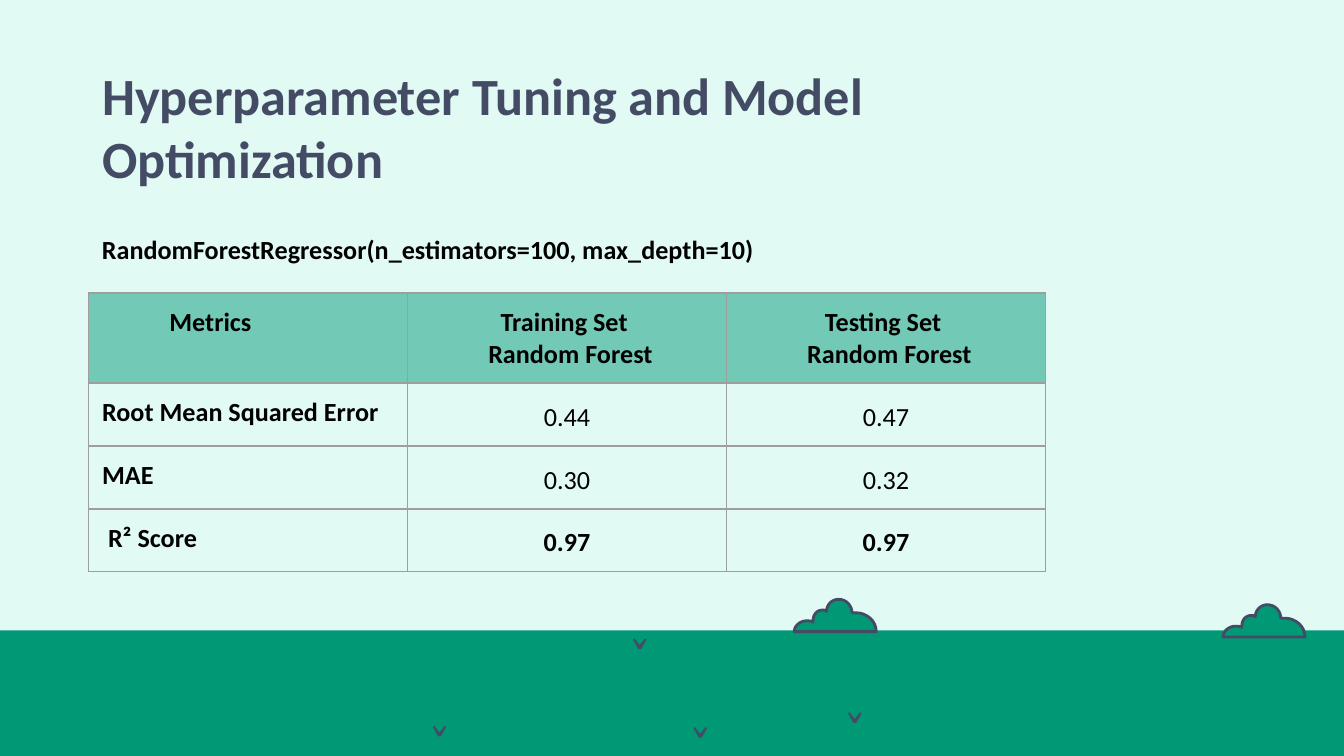
from dataclasses import dataclass

import pptx
import pptx.dml.color
import pptx.enum.shapes
import pptx.enum.text
import pptx.oxml
import pptx.oxml.ns
import pptx.util
from pptx.util import Inches

COLORS = {"sky": "E1FAF4", "grass": "009875", "ink": "444C65",
          "text": "000000", "border": "9E9E9E"}
FONT = "Calibri"
MARGIN = Inches(0.1)
LEFT = 0.66
CENTER = pptx.enum.text.PP_ALIGN.CENTER

Point = tuple[float, float]


@dataclass(frozen=True)
class Line:
    text: str
    bold: bool = True
    centered: bool = False
    indent: float = 0
    spacing: float | None = None


# Bush outline: start, cubic curves as (control, control, end) around a flat base
BUSH_START: Point = (0.33, 0)
BUSH_LEFT = [
    ((0.28, 0), (0.24, 0.04), (0.24, 0.09)),
    ((0.23, 0.08), (0.22, 0.08), (0.21, 0.08)),
    ((0.17, 0.08), (0.14, 0.11), (0.14, 0.16)),
    ((0.14, 0.16), (0.14, 0.17), (0.14, 0.17)),
    ((0.13, 0.16), (0.11, 0.16), (0.09, 0.16)),
    ((0.04, 0.16), (0, 0.2), (0, 0.24)),
]
BUSH_BASE_END: Point = (0.61, 0.24)
BUSH_RIGHT = [
    ((0.61, 0.16), (0.54, 0.1), (0.46, 0.1)),
    ((0.45, 0.1), (0.44, 0.1), (0.43, 0.1)),
    ((0.43, 0.05), (0.39, 0), (0.33, 0)),
]
BUSHES: list[Point] = [(9.1, 4.5), (5.91, 4.46)]

TUFT = [(-0.04, 0), (0, 0.05), (0.04, 0), (0.05, 0.01),
        (0.01, 0.08), (-0.01, 0.08), (-0.05, 0.01)]
TUFTS: list[Point] = [(4.76, 4.75), (6.36, 5.3), (3.27, 5.4), (5.21, 5.41)]

METRICS = [("Root Mean Squared Error", "0.44", "0.47", False),
           ("MAE", "0.30", "0.32", False),
           (" R² Score", "0.97", "0.97", True)]
TABLE_WIDTH = 7.12
HEADER_HEIGHT = 0.67
ROW_HEIGHT = 0.46


def color(name: str) -> pptx.dml.color.RGBColor:
    return pptx.dml.color.RGBColor.from_string(COLORS[name])


def paint(shape, fill: str, outline: str | None = None) -> None:
    shape.shadow.inherit = False
    shape.fill.solid()
    shape.fill.fore_color.rgb = color(fill)
    if outline:
        shape.line.color.rgb = color(outline)
        shape.line.width = pptx.util.Pt(1.5)
    else:
        shape.line.fill.background()


def add_band(slide, left: float, top: float, width: float, height: float, fill: str) -> None:
    band = slide.shapes.add_shape(
        pptx.enum.shapes.MSO_SHAPE.RECTANGLE,
        Inches(left), Inches(top), Inches(width), Inches(height))
    paint(band, fill)


def curve_points(start: Point, curves: list, steps: int = 8) -> list[Point]:
    """Sample a chain of cubic Bézier curves, leaving out its start."""
    points = []
    for c1, c2, end in curves:
        for step in range(1, steps + 1):
            t = step / steps
            u = 1 - t
            points.append(tuple(
                u**3 * a + 3 * u * u * t * b + 3 * u * t * t * c + t**3 * d
                for a, b, c, d in zip(start, c1, c2, end)))
        start = end
    return points


def add_outlines(slide, outline: list[Point], origins: list[Point],
                 fill: str, line: str | None = None) -> None:
    """Draw the outline at each origin, all in one freeform."""
    builder = None
    for x, y in origins:
        first, *rest = [(Inches(x + dx), Inches(y + dy)) for dx, dy in outline]
        if builder is None:
            builder = slide.shapes.build_freeform(*first)
        else:
            builder.move_to(*first)
        builder.add_line_segments(rest, close=True)
    paint(builder.convert_to_shape(), fill, line)


def set_margins(frame) -> None:
    frame.margin_left = frame.margin_right = MARGIN
    frame.margin_top = frame.margin_bottom = MARGIN


def write(frame, lines: list[Line], size: float = 14, ink: str = "text") -> None:
    for index, line in enumerate(lines):
        paragraph = frame.paragraphs[0] if index == 0 else frame.add_paragraph()
        paragraph.text = line.text
        if line.centered:
            paragraph.alignment = CENTER
        if line.indent:
            paragraph_properties = paragraph._p.get_or_add_pPr()
            paragraph_properties.set("marL", str(Inches(line.indent)))
            paragraph_properties.set("indent", "0")
        if line.spacing:
            paragraph.line_spacing = line.spacing
        paragraph.font.name = FONT
        paragraph.font.size = pptx.util.Pt(size)
        paragraph.font.bold = line.bold
        paragraph.font.color.rgb = color(ink)


def style_cell(cell, is_header: bool) -> None:
    set_margins(cell)
    properties = cell._tc.get_or_add_tcPr()
    for side in "LRTB":
        properties.append(pptx.oxml.parse_xml(
            f'<a:ln{side} {pptx.oxml.ns.nsdecls("a")} w="9525"><a:solidFill>'
            f'<a:srgbClr val="{COLORS["border"]}"/></a:solidFill></a:ln{side}>'))
    if not is_header:
        cell.fill.background()
        return
    cell.fill.solid()
    cell.fill.fore_color.rgb = color("grass")
    header_color = properties.find(pptx.oxml.ns.qn("a:solidFill"))[0]
    header_color.append(pptx.oxml.parse_xml(
        f'<a:alpha {pptx.oxml.ns.nsdecls("a")} val="49000"/>'))


def add_metrics_table(slide) -> None:
    rows = [[[Line("Metrics", indent=0.5)]] + [
        [Line(f"{name} Set ", centered=True), Line("Random Forest", indent=0.5)]
        for name in ("Training", "Testing")]]
    for metric, training, testing, bold in METRICS:
        rows.append([[Line(metric)]] + [
            [Line(value, bold=bold, centered=True, spacing=1.15)]
            for value in (training, testing)])

    columns = len(rows[0])
    table = slide.shapes.add_table(
        len(rows), columns, Inches(LEFT), Inches(2.18), Inches(TABLE_WIDTH),
        Inches(HEADER_HEIGHT + len(METRICS) * ROW_HEIGHT)).table
    table.horz_banding = False
    table.first_row = False
    for index, row in enumerate(rows):
        table.rows[index].height = Inches(ROW_HEIGHT if index else HEADER_HEIGHT)
        for position, lines in enumerate(row):
            cell = table.cell(index, position)
            style_cell(cell, is_header=index == 0)
            write(cell.text_frame, lines)


def add_title(slide) -> None:
    title = slide.shapes.title
    title.left, title.top = Inches(LEFT), Inches(0.37)
    title.width, title.height = Inches(5.95), Inches(0.63)
    frame = title.text_frame
    set_margins(frame)
    frame.word_wrap = True
    frame.auto_size = pptx.enum.text.MSO_AUTO_SIZE.NONE
    frame.vertical_anchor = pptx.enum.text.MSO_ANCHOR.TOP
    write(frame, [Line("Hyperparameter Tuning and Model Optimization")], 28, "ink")
    frame.paragraphs[0].alignment = pptx.enum.text.PP_ALIGN.LEFT


def add_model_call(slide) -> None:
    frame = slide.shapes.add_textbox(
        Inches(LEFT), Inches(1.6), Inches(6.11), Inches(0.44)).text_frame
    set_margins(frame)
    frame.word_wrap = True
    frame.auto_size = pptx.enum.text.MSO_AUTO_SIZE.SHAPE_TO_FIT_TEXT
    write(frame, [Line("RandomForestRegressor(n_estimators=100, max_depth=10)", spacing=1.15)])


def main() -> None:
    deck = pptx.Presentation()
    deck.slide_width = Inches(10)
    deck.slide_height = deck.slide_width * 9 // 16
    slide = deck.slides.add_slide(deck.slide_layouts[5])
    slide.background.fill.solid()
    slide.background.fill.fore_color.rgb = color("sky")

    add_title(slide)
    add_band(slide, 0, 4.69, 10.03, 0.94, "grass")
    add_outlines(slide, TUFT, TUFTS, "ink")
    bush = [BUSH_START, *curve_points(BUSH_START, BUSH_LEFT),
            BUSH_BASE_END, *curve_points(BUSH_BASE_END, BUSH_RIGHT)]
    for origin in BUSHES:
        add_outlines(slide, bush, [origin], "grass", "ink")
    add_band(slide, 8.25, 0.17, 1.6, 1.03, "sky")
    add_model_call(slide)
    add_metrics_table(slide)
    deck.save("out.pptx")


if __name__ == "__main__":
    main()
